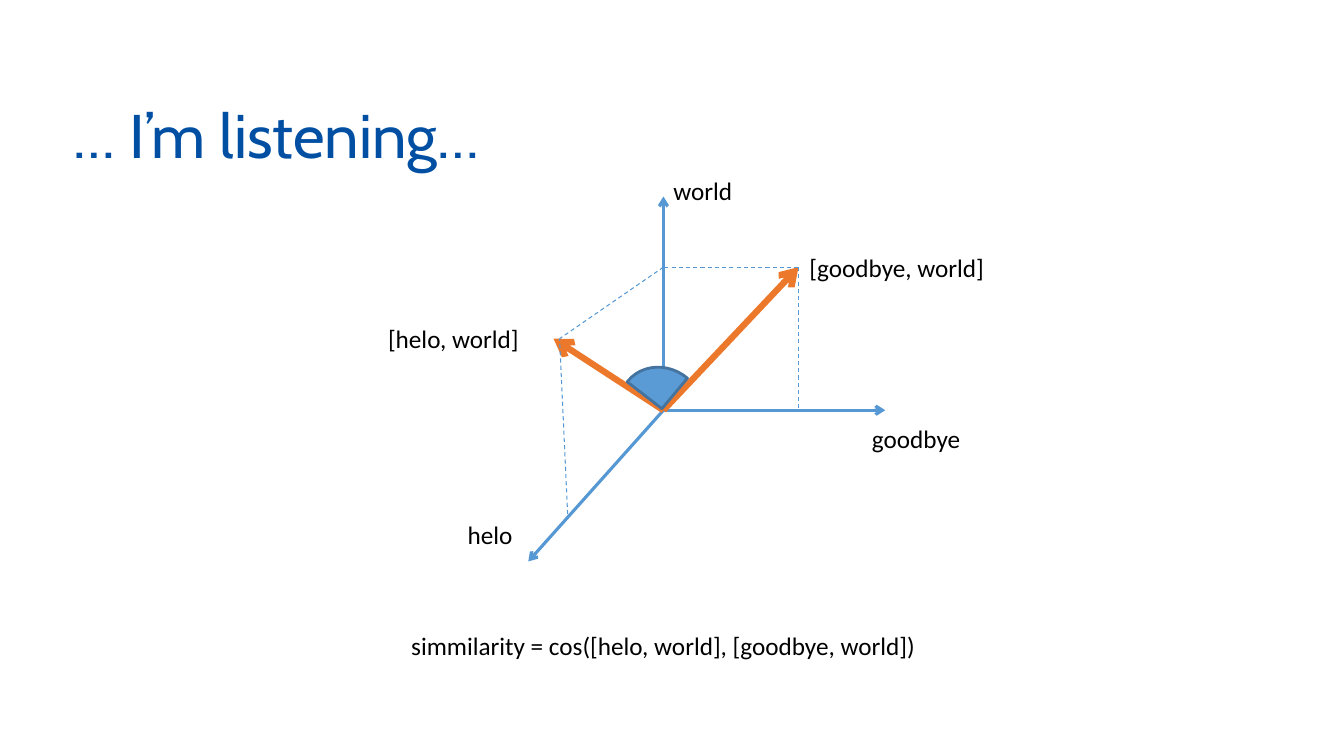
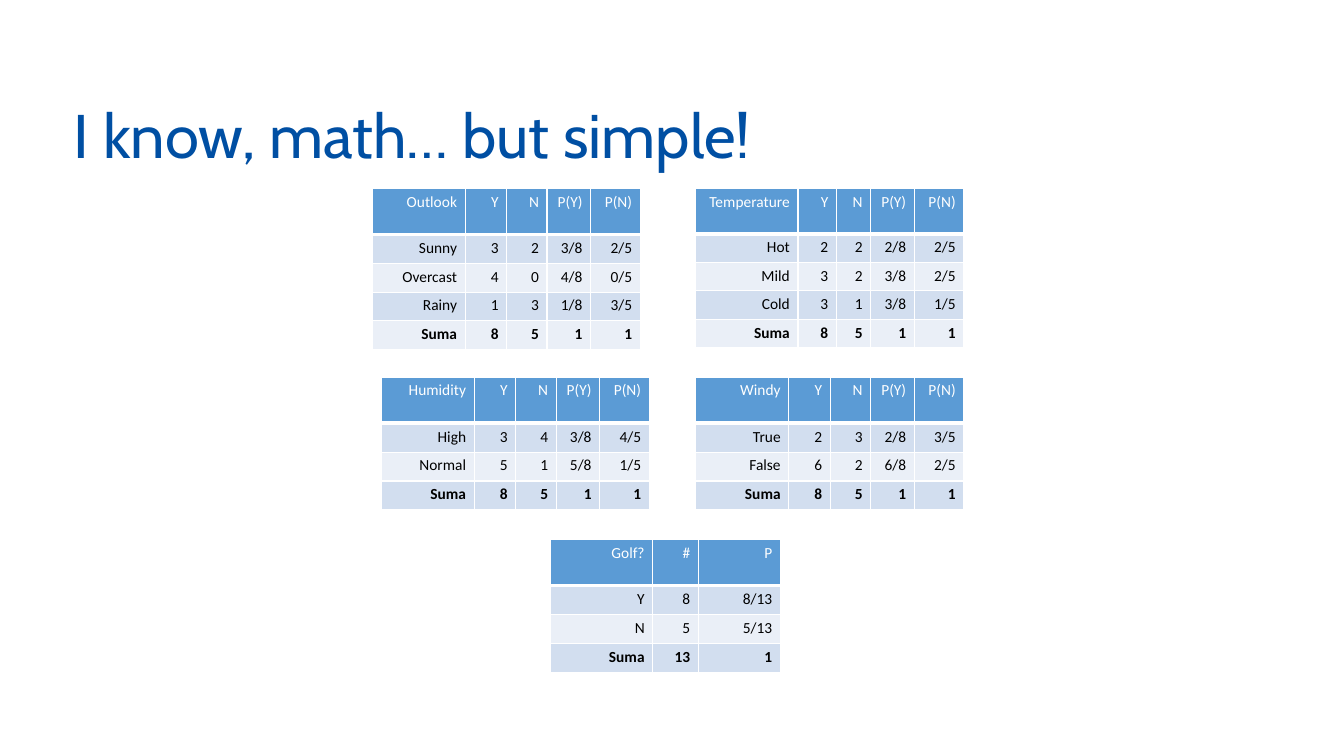
import pptx
import pptx.dml.color
import pptx.enum.dml
import pptx.enum.shapes
import pptx.enum.text
import pptx.oxml.ns
import pptx.util
from lxml import etree

SLIDE_WIDTH, SLIDE_HEIGHT = 13.33, 7.5
TITLE_BOX = (0.68, 0.65, 11.5, 1.45)
TITLE_FONT, BODY_FONT = "Cabin", "Calibri"
NAVY, AXIS_BLUE, ORANGE = "004FA3", "5698D3", "EC792B"
BLUE, BLUE_EDGE = "5B9BD5", "43739E"
BANDS = ("D2DEEF", "EAEFF7")
BLACK, WHITE = "000000", "FFFFFF"
HEADER_ROW_RATIO = 1.6

COUNT_HEADER = ("Y", "N", "P(Y)", "P(N)")
COUNT_TOTAL = ("Suma", "8", "5", "1", "1")
COUNT_COLUMNS = (0.92, 0.41, 0.4, 0.43, 0.49)
FREQUENCY_TABLES = (
    ((3.69, 1.87, 2.66, 1.6), COUNT_COLUMNS, (
        ("Outlook", *COUNT_HEADER),
        ("Sunny", "3", "2", "3/8", "2/5"),
        ("Overcast", "4", "0", "4/8", "0/5"),
        ("Rainy", "1", "3", "1/8", "3/5"),
        COUNT_TOTAL)),
    ((6.9, 1.87, 2.66, 1.58), (1.01, 0.38, 0.34, 0.43, 0.49), (
        ("Temperature", *COUNT_HEADER),
        ("Hot", "2", "2", "2/8", "2/5"),
        ("Mild", "3", "2", "3/8", "2/5"),
        ("Cold", "3", "1", "3/8", "1/5"),
        COUNT_TOTAL)),
    ((3.78, 3.74, 2.66, 1.32), COUNT_COLUMNS, (
        ("Humidity", *COUNT_HEADER),
        ("High", "3", "4", "3/8", "4/5"),
        ("Normal", "5", "1", "5/8", "1/5"),
        COUNT_TOTAL)),
    ((6.9, 3.74, 2.66, 1.32), COUNT_COLUMNS, (
        ("Windy", *COUNT_HEADER),
        ("True", "2", "3", "2/8", "3/5"),
        ("False", "6", "2", "6/8", "2/5"),
        COUNT_TOTAL)),
    ((5.46, 5.35, 2.28, 1.32), (1.01, 0.45, 0.81), (
        ("Golf?", "#", "P"),
        ("Y", "8", "8/13"),
        ("N", "5", "5/13"),
        ("Suma", "13", "1"))),
)


def color(hex_code):
    """Turn a hex string into a colour."""
    return pptx.dml.color.RGBColor.from_string(hex_code)


def inches(*lengths):
    """Turn lengths in inches into slide units."""
    return [pptx.util.Inches(length) for length in lengths]


def format_paragraph(paragraph, font_name, size, hex_code, bold=False):
    """Format every run of a paragraph."""
    for run in paragraph.runs:
        run.font.name = font_name
        run.font.size = pptx.util.Pt(size)
        run.font.color.rgb = color(hex_code)
        run.font.bold = bold


def add_titled_slide(deck, heading):
    """Add a title-only slide with the shared title style."""
    slide = deck.slides.add_slide(deck.slide_layouts[5])
    title = slide.shapes.title
    title.left, title.top, title.width, title.height = inches(*TITLE_BOX)
    frame = title.text_frame
    frame.text = heading
    frame.word_wrap = True
    frame.auto_size = pptx.enum.text.MSO_AUTO_SIZE.NONE
    frame.vertical_anchor = pptx.enum.text.MSO_ANCHOR.MIDDLE
    frame.margin_left, frame.margin_top, frame.margin_right, frame.margin_bottom = inches(*[0.05] * 4)
    paragraph = frame.paragraphs[0]
    paragraph.alignment = pptx.enum.text.PP_ALIGN.LEFT
    paragraph.line_spacing = 0.9
    format_paragraph(paragraph, TITLE_FONT, 44, NAVY)
    return slide


def add_line(slide, start, end, hex_code, weight, arrow=False):
    """Draw a solid arrow or a dashed guide between two points."""
    line = slide.shapes.add_connector(
        pptx.enum.shapes.MSO_CONNECTOR.STRAIGHT, *inches(*start, *end))
    line.line.color.rgb = color(hex_code)
    line.line.width = pptx.util.Pt(weight)
    if arrow:
        stroke = line.line._get_or_add_ln()
        etree.SubElement(stroke, pptx.oxml.ns.qn("a:tailEnd"), type="arrow")
    else:
        line.line.dash_style = pptx.enum.dml.MSO_LINE.DASH
    etree.SubElement(line._element.spPr, pptx.oxml.ns.qn("a:effectLst"))


def add_label(slide, text, box):
    """Write one unwrapped diagram label."""
    frame = slide.shapes.add_textbox(*inches(*box)).text_frame
    frame.text = text
    frame.word_wrap = False
    frame.auto_size = pptx.enum.text.MSO_AUTO_SIZE.SHAPE_TO_FIT_TEXT
    format_paragraph(frame.paragraphs[0], BODY_FONT, 18, BLACK)


def add_vector_diagram(slide, box):
    """Draw the word vectors on a grid of 62 columns and 50 rows in a box."""
    left, top, width, height = box
    column, row = width / 62, height / 50

    def at(x, y):
        """Locate a grid point on the slide."""
        return left + x * column, top + y * row

    origin = at(28.3, 24.2)
    goodbye_world, helo_world = at(41.7, 10), at(18, 17.1)
    world_foot, goodbye_foot, helo_foot = at(28.3, 10), at(41.7, 24.2), at(18.8, 34.5)
    for axis_tip in (at(28.3, 3), at(50.3, 24.2), at(14.9, 39.2)):
        add_line(slide, origin, axis_tip, AXIS_BLUE, 2.25, arrow=True)
    for vector_tip in (goodbye_world, at(17.4, 17.1)):
        add_line(slide, origin, vector_tip, ORANGE, 4.5, arrow=True)
    for start, end in ((goodbye_world, goodbye_foot), (goodbye_world, world_foot),
                       (world_foot, helo_world), (helo_foot, helo_world)):
        add_line(slide, start, end, AXIS_BLUE, 0.75)

    angle = slide.shapes.add_shape(
        pptx.enum.shapes.MSO_SHAPE.PIE,
        *inches(*at(23.8, 20.1), 8.7 * column, 7.9 * row))
    angle.adjustments[0], angle.adjustments[1] = 106.73, 162
    angle.rotation = 39.9
    angle.shadow.inherit = False
    angle.fill.solid()
    angle.fill.fore_color.rgb = color(BLUE)
    angle.line.color.rgb = color(BLUE_EDGE)
    angle.line.width = pptx.util.Pt(2)

    for text, x, y, columns in (
            ("goodbye", 48, 25, 10.9),
            ("helo", 7.9, 34.5, 6.5),
            ("[helo, world]", 0, 15.1, 15.5),
            ("[goodbye, world]", 41.8, 8, 19.9),
            ("simmilarity = cos([helo, world], [goodbye, world])", 2.3, 45.5, 52.6),
            ("world", 28.3, 0.4, 7.9)):
        add_label(slide, text, (*at(x, y), columns * column, 4 * row))


def format_cell(cell, text, fill, text_color, bold, bottom_weight):
    """Fill, border and write one table cell."""
    cell.text = text
    cell.margin_left, cell.margin_right, cell.margin_top, cell.margin_bottom = inches(
        0.08, 0.08, 0.04, 0.04)
    paragraph = cell.text_frame.paragraphs[0]
    paragraph.alignment = pptx.enum.text.PP_ALIGN.RIGHT
    format_paragraph(paragraph, BODY_FONT, 11, text_color, bold)
    properties = cell._tc.get_or_add_tcPr()
    for side, weight in (("L", 1), ("R", 1), ("T", 1), ("B", bottom_weight)):
        border = etree.SubElement(properties, pptx.oxml.ns.qn("a:ln" + side),
                                  w=str(pptx.util.Pt(weight)))
        stroke = etree.SubElement(border, pptx.oxml.ns.qn("a:solidFill"))
        etree.SubElement(stroke, pptx.oxml.ns.qn("a:srgbClr"), val=WHITE)
    cell.fill.solid()
    cell.fill.fore_color.rgb = color(fill)


def add_frequency_table(slide, box, column_weights, rows):
    """Build a banded table with a tall header and a bold total row."""
    width, height = box[2:]
    table = slide.shapes.add_table(len(rows), len(column_weights), *inches(*box)).table
    table.first_row = table.horz_banding = False
    for column, weight in zip(table.columns, column_weights):
        column.width = pptx.util.Inches(width * weight / sum(column_weights))
    body_height = height / (len(rows) - 1 + HEADER_ROW_RATIO)
    for index, values in enumerate(rows):
        header = index == 0
        table.rows[index].height = pptx.util.Inches(
            body_height * (HEADER_ROW_RATIO if header else 1))
        fill = BLUE if header else BANDS[(index - 1) % 2]
        for position, text in enumerate(values):
            format_cell(table.cell(index, position), text, fill,
                        WHITE if header else BLACK,
                        index == len(rows) - 1, 3 if header else 1)


def main():
    """Build and save the two slides."""
    deck = pptx.Presentation()
    deck.slide_width, deck.slide_height = inches(SLIDE_WIDTH, SLIDE_HEIGHT)
    add_vector_diagram(add_titled_slide(deck, "… I’m listening…"), (3.75, 1.65, 6.2, 5))
    probabilities = add_titled_slide(deck, "I know, math… but simple!")
    for box, column_weights, rows in FREQUENCY_TABLES:
        add_frequency_table(probabilities, box, column_weights, rows)
    deck.save("out.pptx")


if __name__ == "__main__":
    main()
